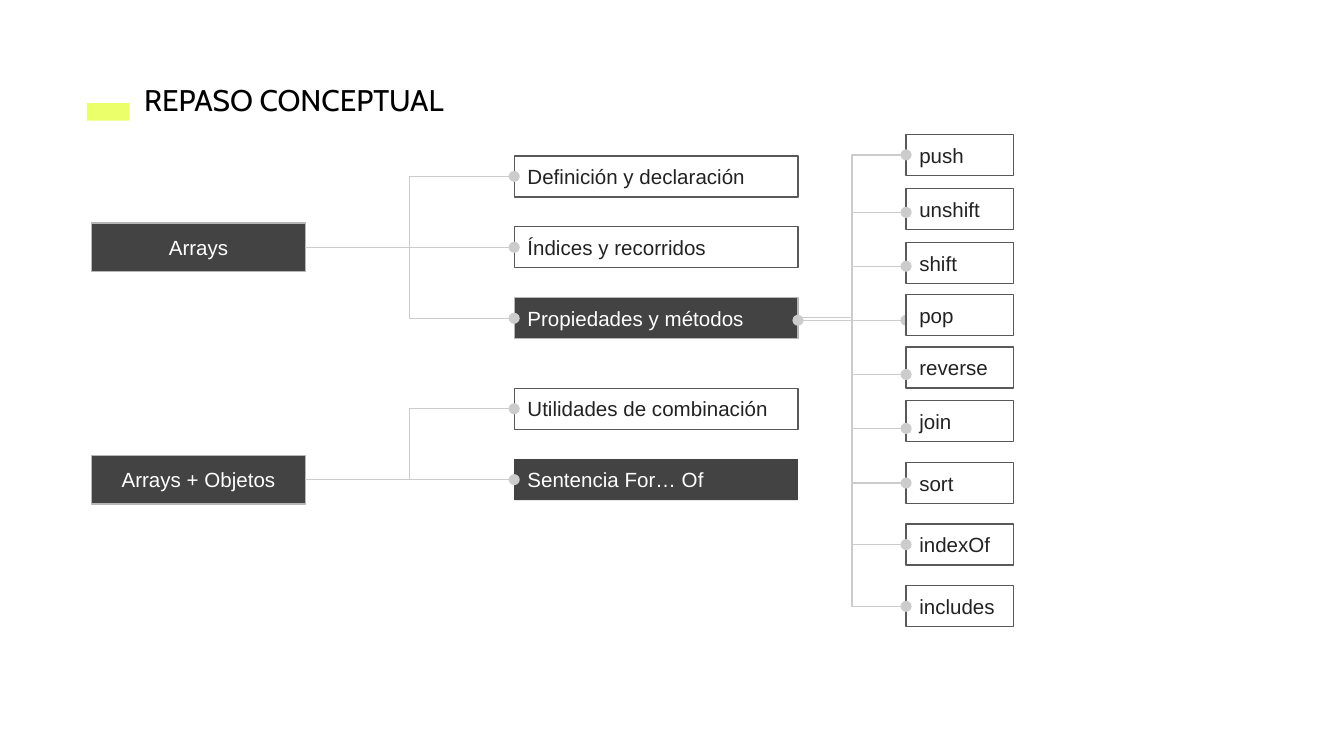
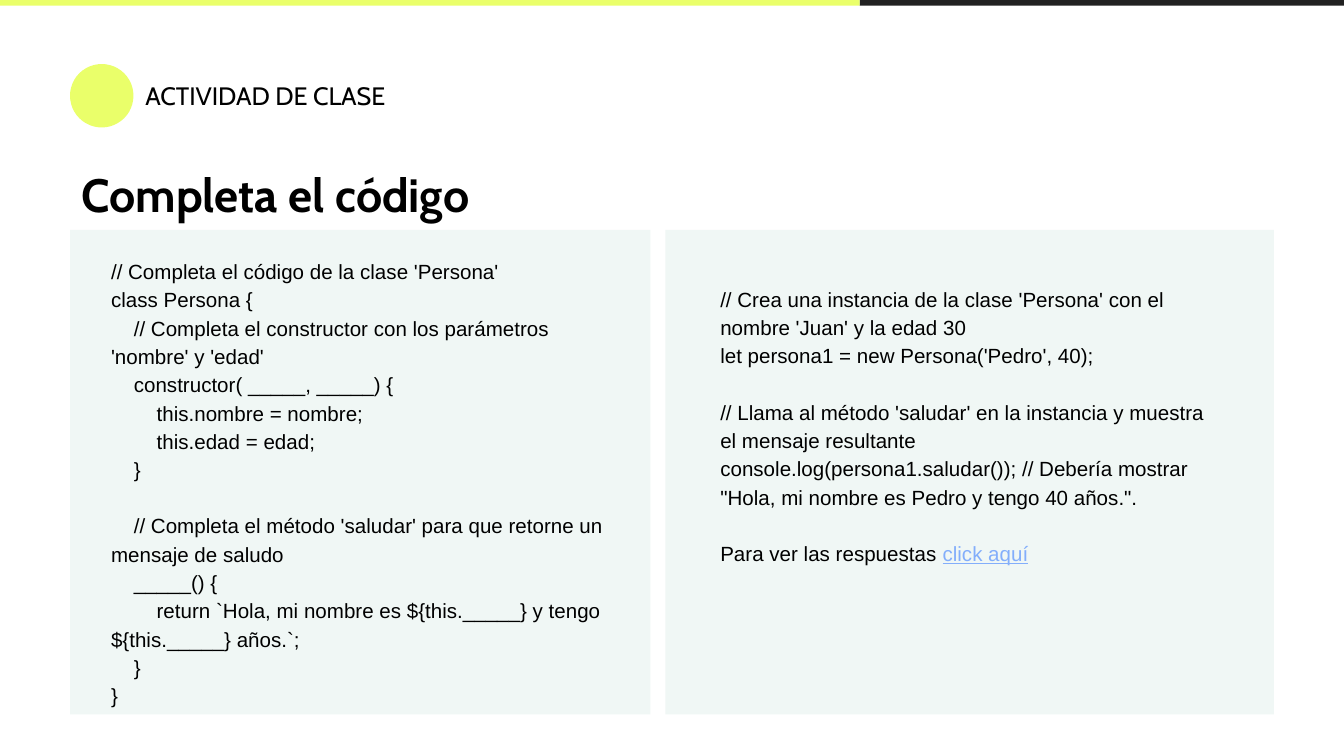
from dataclasses import dataclass
from typing import Any, Optional

from lxml.etree import SubElement
from pptx import Presentation
from pptx.dml.color import RGBColor
from pptx.enum.shapes import MSO_CONNECTOR as Connector, MSO_SHAPE as Preset
from pptx.enum.text import MSO_ANCHOR as Anchor, MSO_AUTO_SIZE as AutoSize, PP_ALIGN as Align
from pptx.oxml.ns import qn
from pptx.util import Pt

COLORS = {
    "lime": "EAFF6A", "ink": "212121", "mint": "F0F7F5", "dark": "434343",
    "dark_edge": "B7B7B7", "light_edge": "595959", "wire": "CCCCCC",
    "white": "FFFFFF", "black": "000000", "label": "222222", "link": "83AEFB",
}
FONTS = {
    "heading": {"name": "Cabin", "size": Pt(16), "bold": False},
    "kicker": {"name": "Cabin", "size": Pt(13.5), "bold": False},
    "activity": {"name": "Cabin", "size": Pt(25), "bold": True},
    "body": {"name": "Arial", "size": Pt(11), "bold": False},
}
FRAME = {
    "margin_left": Pt(7.2), "margin_right": Pt(7.2), "margin_top": Pt(7.2),
    "margin_bottom": Pt(7.2), "word_wrap": True, "auto_size": AutoSize.NONE,
}
TITLE_ONLY = 5
BLANK_LINE = Pt(15)


@dataclass(frozen=True)
class Area:
    left: float
    top: float
    width: float
    height: float

    @property
    def right(self) -> float:
        return self.left + self.width

    @property
    def middle(self) -> float:
        return self.top + self.height / 2

    def lengths(self) -> tuple:
        return Pt(self.left), Pt(self.top), Pt(self.width), Pt(self.height)


@dataclass(frozen=True)
class BoxStyle:
    fill: Optional[str]
    edge: Optional[str]
    text: str
    align: Align = Align.LEFT


@dataclass(frozen=True)
class Method:
    name: str
    top: float
    wire_y: float


BOX_STYLES = {
    "topic": BoxStyle("dark", "dark_edge", "white", Align.CENTER),
    "plain": BoxStyle(None, "light_edge", "label"),
    "active": BoxStyle("dark", "dark_edge", "white"),
    "borderless": BoxStyle("dark", None, "white"),
    "method": BoxStyle("white", "light_edge", "label"),
}


# Shared drawing functions
def color(name: str) -> RGBColor:
    return RGBColor.from_string(COLORS[name])


def apply(target: Any, values: dict) -> None:
    for attribute, value in values.items():
        setattr(target, attribute, value)


def style_font(font: Any, style: str, color_name: str) -> None:
    apply(font, FONTS[style])
    font.color.rgb = color(color_name)


def write_line(frame: Any, text: str, style: str, color_name: str, **layout: Any) -> None:
    apply(frame, FRAME)
    paragraph = frame.paragraphs[0]
    paragraph.text = text
    apply(paragraph, layout)
    style_font(paragraph.runs[0].font, style, color_name)


def add_block(slide: Any, area: Area, fill: Optional[str],
              edge: Optional[str] = None, preset: Any = Preset.RECTANGLE) -> Any:
    block = slide.shapes.add_shape(preset, *area.lengths())
    block.shadow.inherit = False
    if fill:
        block.fill.solid()
        block.fill.fore_color.rgb = color(fill)
    else:
        block.fill.background()
    if edge:
        block.line.color.rgb = color(edge)
        block.line.width = Pt(0.75)
    else:
        block.line.fill.background()
    return block


def add_box(slide: Any, text: str, area: Area, style_name: str) -> Any:
    style = BOX_STYLES[style_name]
    box = add_block(slide, area, style.fill, style.edge)
    write_line(box.text_frame, text, "body", style.text, alignment=style.align)
    box.text_frame.vertical_anchor = Anchor.MIDDLE
    return box


def add_wire(slide: Any, start: tuple, end: tuple, kind: Any = Connector.ELBOW,
             dots: tuple = ("tailEnd",)) -> Any:
    wire = slide.shapes.add_connector(kind, *(Pt(value) for value in start + end))
    wire.line.color.rgb = color("wire")
    wire.line.width = Pt(0.75)
    properties = wire._element.spPr
    outline = properties.find(qn("a:ln"))
    for dot in dots:
        SubElement(outline, qn(f"a:{dot}"), type="oval")
    SubElement(properties, qn("a:effectLst"))
    return wire


def add_slide(deck: Any, title: str, area: Area, style: str, spacing: float) -> Any:
    slide = deck.slides.add_slide(deck.slide_layouts[TITLE_ONLY])
    heading = slide.shapes.title
    apply(heading, dict(zip(("left", "top", "width", "height"), area.lengths())))
    write_line(heading.text_frame, title, style, "black",
               alignment=Align.LEFT, line_spacing=spacing)
    heading.text_frame.vertical_anchor = Anchor.TOP
    return slide


def add_code(slide: Any, area: Area, sections: list) -> Any:
    frame = slide.shapes.add_textbox(*area.lengths()).text_frame
    apply(frame, FRAME)
    paragraph = frame.paragraphs[0]
    for section_index, section in enumerate(sections):
        for line_index, line in enumerate(section):
            if section_index or line_index:
                paragraph = frame.add_paragraph()
            paragraph.line_spacing = 1.15
            if section_index and line_index == 0:
                paragraph.space_before = BLANK_LINE
            run = paragraph.add_run()
            run.text = line
            style_font(run.font, "body", "black")
    return paragraph


# Slide 1: concept map
TOPICS = [
    ("Arrays", 119.5, 83.5, [
        ("Definición y declaración", "plain"),
        ("Índices y recorridos", "plain"),
        ("Propiedades y métodos", "active"),
    ]),
    ("Arrays + Objetos", 244, 208, [
        ("Utilidades de combinación", "plain"),
        ("Sentencia For… Of", "borderless"),
    ]),
]
BRANCH_STEP = 38
HUB = (427.5, 171.6)
METHOD_LEFT = 485.4
METHODS = [
    Method("push", 72, 83),
    Method("unshift", 101, 113.8),
    Method("shift", 130, 142.7),
    Method("pop", 157.8, HUB[1]),
    Method("reverse", 186, 200.6),
    Method("join", 214.5, 229.5),
    Method("sort", 247.8, 258.8),
    Method("indexOf", 280.8, 291.8),
    Method("includes", 313.8, 324.8),
]


def build_review(deck: Any) -> None:
    slide = add_slide(deck, "REPASO CONCEPTUAL", Area(70, 36.5, 194, 34), "heading", 1.0)
    add_block(slide, Area(46.5, 55.2, 23, 9.5), "lime")

    # Topics and their branches
    for topic, topic_top, first_top, branches in TOPICS:
        topic_area = Area(49.2, topic_top, 114.4, 26)
        topic_box = add_box(slide, topic, topic_area, "topic")
        for index, (branch, style) in enumerate(branches):
            area = Area(275.5, first_top + index * BRANCH_STEP, 152, 22)
            branch_box = add_box(slide, branch, area, style)
            wire = add_wire(slide, (topic_area.right, topic_area.middle),
                            (area.left, area.middle))
            wire.begin_connect(topic_box, 3)
            wire.end_connect(branch_box, 1)

    # Array methods: the level wire lies behind its box, the rest in front
    add_wire(slide, HUB, (METHOD_LEFT, HUB[1]), Connector.STRAIGHT, ("headEnd", "tailEnd"))
    for method in METHODS:
        add_box(slide, method.name, Area(METHOD_LEFT, method.top, 57.6, 22), "method")
        if method.wire_y != HUB[1]:
            start_y = 170 if method.name == "push" else HUB[1]
            add_wire(slide, (HUB[0], start_y), (METHOD_LEFT, method.wire_y))


# Slide 2: class activity
CLASS_CODE = [
    [
        "// Completa el código de la clase 'Persona'",
        "class Persona {",
        "    // Completa el constructor con los parámetros 'nombre' y 'edad'",
        "    constructor( _____, _____) {",
        "        this.nombre = nombre;",
        "        this.edad = edad;",
        "    }",
    ],
    [
        "    // Completa el método 'saludar' para que retorne un mensaje de saludo",
        "    _____() {",
        "        return `Hola, mi nombre es ${this._____} y tengo ${this._____} años.`;",
        "    }",
        "}",
    ],
]
USAGE_CODE = [
    [
        "// Crea una instancia de la clase 'Persona' con el nombre 'Juan' y la edad 30",
        "let persona1 = new Persona('Pedro', 40);",
    ],
    [
        "// Llama al método 'saludar' en la instancia y muestra el mensaje resultante",
        "console.log(persona1.saludar()); // Debería mostrar "
        "\"Hola, mi nombre es Pedro y tengo 40 años.\".",
    ],
    ["Para ver las respuestas "],
]
ACTIVITY_BLOCKS = [
    (Area(460.5, 0, 259.5, 3), "ink", Preset.RECTANGLE),
    (Area(0, 0, 460.5, 3), "lime", Preset.RECTANGLE),
    (Area(37.5, 34.3, 34, 34), "lime", Preset.OVAL),
    (Area(37.5, 123.2, 311, 259.6), "mint", Preset.RECTANGLE),
    (Area(356.5, 123.2, 326, 259.6), "mint", Preset.RECTANGLE),
]


def build_activity(deck: Any) -> None:
    slide = add_slide(deck, "Completa el código", Area(36.6, 85, 579, 42), "activity", 0.9)
    for area, fill, preset in ACTIVITY_BLOCKS:
        add_block(slide, area, fill, preset=preset)

    kicker = slide.shapes.add_textbox(*Area(70.8, 36, 236, 31).lengths())
    write_line(kicker.text_frame, "ACTIVIDAD DE CLASE", "kicker", "black")

    add_code(slide, Area(52.4, 129.6, 281, 253), CLASS_CODE)
    answers = add_code(slide, Area(378.8, 144.5, 281, 182), USAGE_CODE).add_run()
    answers.text = "click aquí"
    style_font(answers.font, "body", "link")
    answers.font.underline = True


def main() -> None:
    deck = Presentation()
    apply(deck, {"slide_width": Pt(720), "slide_height": Pt(405)})
    build_review(deck)
    build_activity(deck)
    deck.save("out.pptx")


if __name__ == "__main__":
    main()
